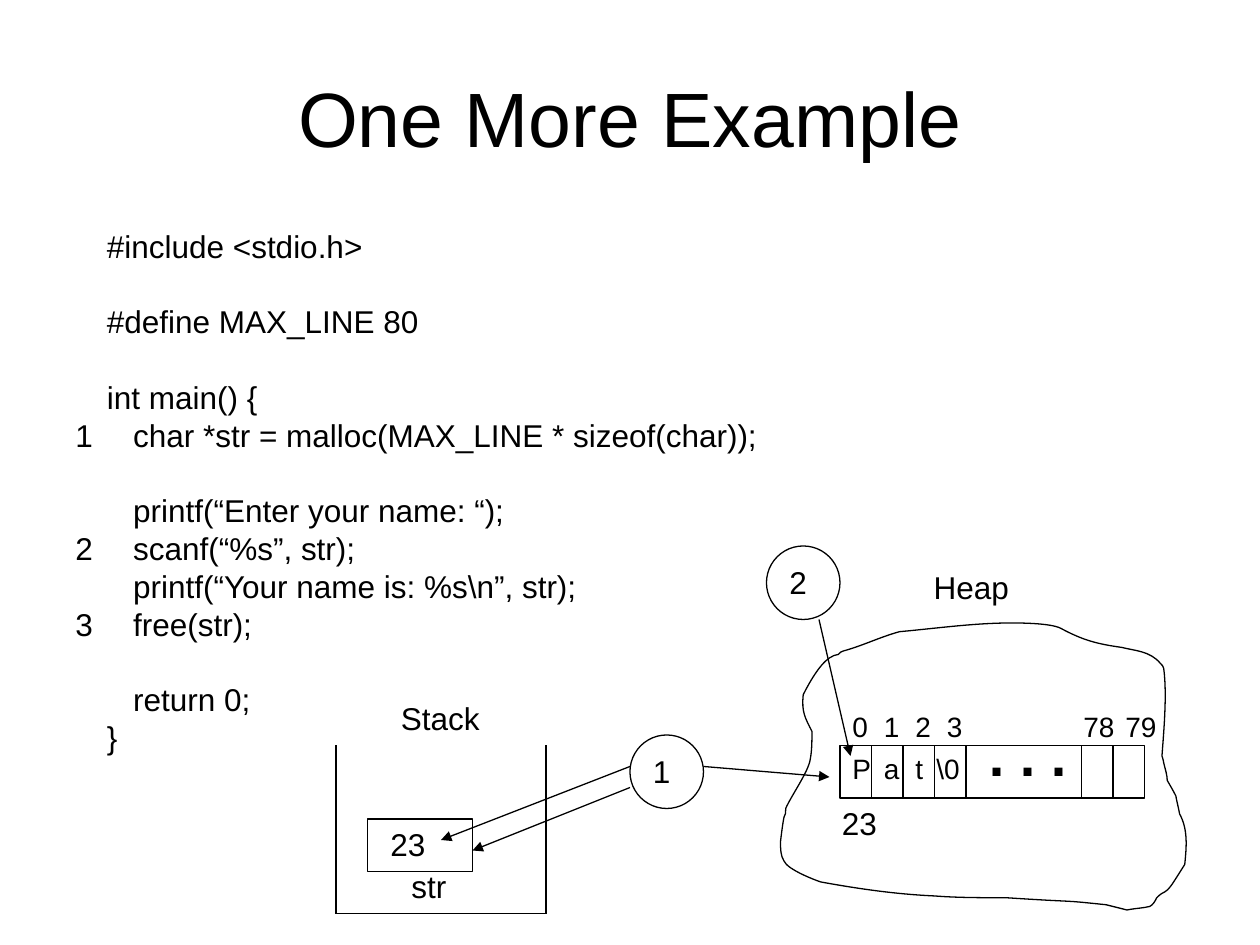
from dataclasses import dataclass
from typing import NamedTuple

from lxml import etree
from pptx import Presentation
from pptx.dml.color import RGBColor
from pptx.enum.shapes import MSO_CONNECTOR, MSO_SHAPE
from pptx.enum.text import MSO_ANCHOR, MSO_AUTO_SIZE, PP_ALIGN
from pptx.oxml.ns import qn
from pptx.util import Pt

STRAIGHT = MSO_CONNECTOR.STRAIGHT
RECTANGLE = MSO_SHAPE.RECTANGLE
OVAL = MSO_SHAPE.OVAL
MIDDLE = MSO_ANCHOR.MIDDLE
FIT_SHAPE = MSO_AUTO_SIZE.SHAPE_TO_FIT_TEXT
CENTER = PP_ALIGN.CENTER
LEFT = PP_ALIGN.LEFT


@dataclass(frozen=True)
class Theme:
    font: str = "Arial"
    ink: RGBColor = RGBColor(0, 0, 0)
    title: float = 44
    dots: float = 32
    body: float = 18
    cell: float = 16
    line: float = 0.75
    leading: float = 1.2


THEME = Theme()


class TextLine(NamedTuple):
    text: str
    indent: float = 0
    skipped_lines: int = 0


class Label(NamedTuple):
    text: str
    left: float
    top: float
    width: float
    size: float = THEME.body
    bold: bool = False


class Segment(NamedTuple):
    start_x: float
    start_y: float
    end_x: float
    end_y: float
    arrow: bool = False


class Step(NamedTuple):
    number: str
    left: float
    top: float


CODE_INDENT = 15
CODE = [
    TextLine("#include <stdio.h>"),
    TextLine("#define MAX_LINE 80", 0, 1),
    TextLine("int main() {", 0, 1),
    TextLine("char *str = malloc(MAX_LINE * sizeof(char));", CODE_INDENT),
    TextLine("printf(“Enter your name: “);", CODE_INDENT, 1),
    TextLine("scanf(“%s”, str);", CODE_INDENT),
    TextLine("printf(“Your name is: %s\\n”, str);", CODE_INDENT),
    TextLine("free(str);", CODE_INDENT),
    TextLine("return 0;", CODE_INDENT, 1),
    TextLine("}"),
]
STEP_NUMBERS = [TextLine("1"), TextLine("2", 0, 2), TextLine("3", 0, 1)]

ARRAY_LEFT, ARRAY_TOP, ARRAY_HEIGHT, CELL = 480, 426, 30, 18
INDEX_TOP = 402
STACK_LEFT, STACK_RIGHT, STACK_BOTTOM = 192, 312, 522
CIRCLE = 42

LABELS = [
    Label("str", 228, 492, 34.5),
    Label("23", 216, 468, 34.5),
    Label("23", 474, 456, 34.5),
    Label("Stack", 222, 396, 60),
    Label("Heap", 526.5, 321, 58),
    Label(". . .", 558, 408, 59, THEME.dots, True),
    Label("78", 612, INDEX_TOP, 32.5, THEME.cell),
    Label("79", 636, INDEX_TOP, 32.5, THEME.cell),
    Label("P", ARRAY_LEFT, ARRAY_TOP, 25.5, THEME.cell),
    Label("a", ARRAY_LEFT + CELL, ARRAY_TOP, 23.5, THEME.cell),
    Label("t", ARRAY_LEFT + 2 * CELL, ARRAY_TOP, 19, THEME.cell),
    Label("\\0", 528, ARRAY_TOP, 28, THEME.cell),
] + [Label(str(i), ARRAY_LEFT + i * CELL, INDEX_TOP, 23.5, THEME.cell) for i in range(4)]

DIVIDERS = [ARRAY_LEFT + i * CELL for i in range(1, 5)] + [618, 636]
SEGMENTS = [
    Segment(STACK_LEFT, ARRAY_TOP, STACK_LEFT, STACK_BOTTOM),
    Segment(STACK_LEFT, STACK_BOTTOM, STACK_RIGHT, STACK_BOTTOM),
    Segment(STACK_RIGHT, ARRAY_TOP, STACK_RIGHT, STACK_BOTTOM),
    Segment(360, 450, 270, 486, True),
    Segment(402, 438, 474, 444, True),
    Segment(360, 438, 252, 480, True),
    Segment(468, 354, 486, 432, True),
] + [Segment(x, ARRAY_TOP, x, ARRAY_TOP + ARRAY_HEIGHT) for x in DIVIDERS]

STEPS = [Step("1", 360, 420), Step("2", 438, 312)]

HEAP_START = (514, 361)
HEAP_CURVES = [
    (503, 364, 493, 369, 482, 372), (481, 372, 480, 373, 479, 374),
    (477, 374, 476, 375, 474, 376), (468, 380, 462, 391, 459, 397),
    (458, 407, 460, 410, 464, 418), (464, 423, 464, 429, 463, 434),
    (462, 441, 452, 455, 449, 462), (449, 464, 449, 466, 448, 467),
    (447, 472, 446, 481, 446, 481), (446, 485, 446, 489, 448, 492),
    (450, 497, 466, 503, 469, 504), (491, 508, 512, 511, 534, 512),
    (547, 513, 561, 513, 575, 513), (621, 516, 603, 514, 632, 517),
    (636, 518, 640, 519, 644, 520), (649, 519, 653, 519, 657, 518),
    (659, 517, 660, 515, 661, 513), (666, 508, 665, 512, 670, 505),
    (672, 502, 677, 494, 677, 494), (678, 484, 679, 474, 674, 465),
    (674, 464, 672, 456, 672, 455), (670, 451, 667, 446, 667, 446),
    (667, 443, 666, 440, 665, 436), (665, 435, 664, 432, 664, 432),
    (665, 418, 667, 397, 665, 382), (665, 381, 664, 380, 663, 379),
    (657, 372, 649, 372, 641, 370), (627, 368, 619, 366, 606, 359),
    (600, 356, 582, 356, 578, 356), (557, 356, 536, 359, 514, 361),
]


def format_runs(paragraph, size: float, bold: bool = False) -> None:
    for run in paragraph.runs:
        run.font.name = THEME.font
        run.font.size = Pt(size)
        run.font.bold = bold
        run.font.color.rgb = THEME.ink


def add_text(shapes, lines: list[TextLine], left: float, top: float, width: float,
             size: float = THEME.body, bold: bool = False) -> None:
    line_height = size * THEME.leading
    row_count = len(lines) + sum(line.skipped_lines for line in lines)
    box = shapes.add_textbox(Pt(left), Pt(top), Pt(width), Pt(row_count * line_height + 7.2))
    text_frame = box.text_frame
    text_frame.word_wrap = False
    text_frame.auto_size = FIT_SHAPE
    text_frame.text = "\n".join(line.text for line in lines)
    for paragraph, line in zip(text_frame.paragraphs, lines):
        paragraph.alignment = LEFT
        paragraph.line_spacing = Pt(line_height)
        paragraph.space_before = Pt(line.skipped_lines * line_height)
        if line.indent:
            paragraph._p.get_or_add_pPr().set("marL", str(Pt(line.indent)))
        format_runs(paragraph, size, bold)


def outline(shape) -> None:
    shape.shadow.inherit = False
    shape.fill.background()
    shape.line.color.rgb = THEME.ink
    shape.line.width = Pt(THEME.line)


def add_outline(shapes, kind, left: float, top: float, width: float, height: float) -> None:
    outline(shapes.add_shape(kind, Pt(left), Pt(top), Pt(width), Pt(height)))


def add_segment(shapes, segment: Segment) -> None:
    connector = shapes.add_connector(STRAIGHT, *(Pt(value) for value in segment[:4]))
    connector.line.color.rgb = THEME.ink
    connector.line.width = Pt(THEME.line)
    if segment.arrow:
        etree.SubElement(connector.line._get_or_add_ln(), qn("a:tailEnd"), type="triangle")
    etree.SubElement(connector._element.spPr, qn("a:effectLst"))


def add_heap(shapes) -> None:
    builder = shapes.build_freeform(*(Pt(value) for value in HEAP_START))
    builder.add_line_segments([(Pt(x), Pt(y)) for *_, x, y in HEAP_CURVES], close=True)
    heap = builder.convert_to_shape()
    outline(heap)
    for side, curve in zip(list(heap._element.iter(qn("a:lnTo"))), HEAP_CURVES):
        side.tag = qn("a:cubicBezTo")
        side.remove(side[0])
        for x, y in zip(curve[::2], curve[1::2]):
            etree.SubElement(side, qn("a:pt"), x=str(Pt(x) - heap.left), y=str(Pt(y) - heap.top))


def add_step(shapes, step: Step) -> None:
    group = shapes.add_group_shape()
    add_outline(group.shapes, OVAL, step.left, step.top, CIRCLE, CIRCLE)
    add_text(group.shapes, [TextLine(step.number)], step.left + 6, step.top + 6, 24.5)


def add_title(slide, text: str) -> None:
    title = slide.shapes.title
    title.left, title.top, title.width, title.height = Pt(36), Pt(21.6), Pt(648), Pt(90)
    title.text_frame.text = text
    title.text_frame.vertical_anchor = MIDDLE
    paragraph = title.text_frame.paragraphs[0]
    paragraph.alignment = CENTER
    format_runs(paragraph, THEME.title)


def main() -> None:
    presentation = Presentation()
    presentation.slide_width, presentation.slide_height = Pt(720), Pt(540)
    slide = presentation.slides.add_slide(presentation.slide_layouts[5])
    shapes = slide.shapes
    add_title(slide, "One More Example")
    add_text(shapes, CODE, 54, 126, 386)
    add_text(shapes, STEP_NUMBERS, 36, 234, 24.5)
    add_heap(shapes)
    add_outline(shapes, RECTANGLE, 210, 468, 60, 30)
    add_outline(shapes, RECTANGLE, ARRAY_LEFT, ARRAY_TOP, 174, ARRAY_HEIGHT)
    for step in STEPS:
        add_step(shapes, step)
    for segment in SEGMENTS:
        add_segment(shapes, segment)
    for label in LABELS:
        add_text(shapes, [TextLine(label.text)], *label[1:])
    presentation.save("out.pptx")


if __name__ == "__main__":
    main()
